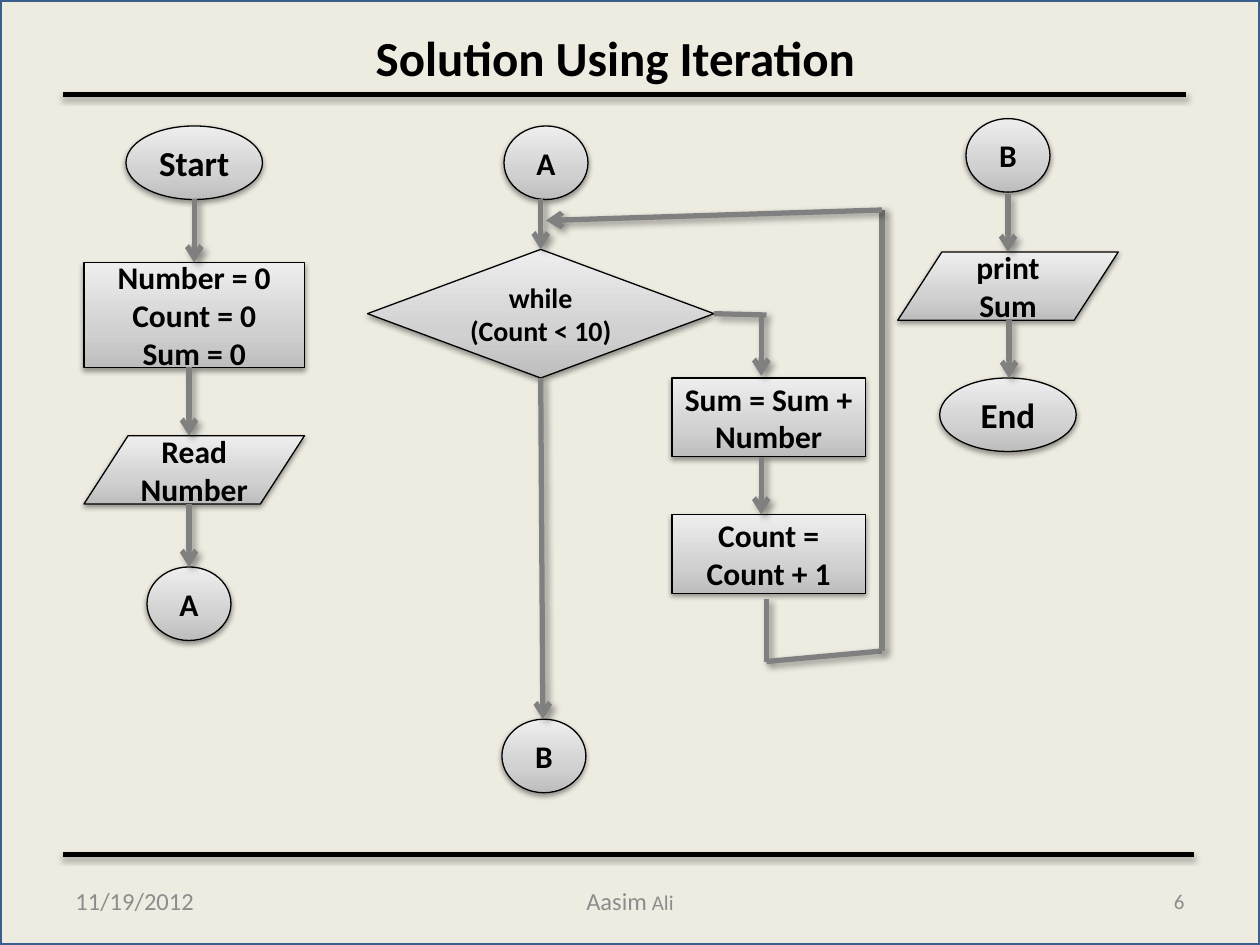
"""Build the flowchart slide "Solution Using Iteration" on a grid of 120 by 90 units."""
from lxml import etree
from pptx import Presentation
from pptx import util as u
from pptx.dml.color import RGBColor
from pptx.enum import shapes, text
from pptx.oxml.ns import qn

UNIT = u.Inches(10) / 120
FONT, INK, ARROW, PAPER, MUTED = "Calibri", "000000", "808080", "EEECE1", "8C8C8C"
STOPS = [(0, "BDBDBD"), (35, "D1D1D1"), (100, "EEEEEE")]
NODE_SHADOW = (38, 3.1, 1.6, 90)
RULE_SHADOW = (35, 3.1, 1.8, 90)
ARROW_SHADOW = (40, 4, 3, 45)
S, A, V = shapes.MSO_SHAPE, text.PP_ALIGN, text.MSO_ANCHOR

KINDS = {
    "terminal": (S.OVAL, 13, 7, 20),
    "setup": (S.RECTANGLE, 21, 10, 18),
    "step": (S.RECTANGLE, 18.4, 7.5, 18),
    "io": (S.FLOWCHART_DATA, 21, 6.5, 18),
    "joint": (S.FLOWCHART_CONNECTOR, 8, 7, 18),
    "decision": (S.FLOWCHART_DECISION, 33, 12.25, 16),
}
NODES = {
    "start": ("terminal", 12, 12, ["Start"]),
    "setup": ("setup", 8, 25, ["Number = 0", "Count = 0", "Sum = 0"]),
    "read": ("io", 8, 41.5, ["Read Number"]),
    "to_a": ("joint", 14, 54, ["A"]),
    "from_a": ("joint", 48, 12, ["A"]),
    "while": ("decision", 35, 23.75, ["while", "(Count < 10)"]),
    "to_b": ("joint", 47.8, 68.5, ["B"]),
    "sum": ("step", 64, 36, ["Sum = Sum + Number"]),
    "count": ("step", 64, 49, ["Count = Count + 1"]),
    "from_b": ("joint", 92, 11.3, ["B"]),
    "print": ("io", 85.5, 24, ["print Sum"]),
    "end": ("terminal", 89.5, 36, ["End"]),
}
ROUTES = [
    ([(18.5, 19), (18.5, 25)], None, ("setup", 0)),
    ([(18, 35), (18, 41.5)], None, None),
    ([(18, 48), (18, 54)], None, None),
    ([(51.5, 19), (51.5, 23.75)], None, ("while", 0)),
    ([(51.5, 36), (51.7, 68.5)], ("while", 2), None),
    ([(68, 29.9), (73, 30)], ("while", 3), False),
    ([(72.5, 30.2), (72.5, 35.8)], None, None),
    ([(72.5, 43.5), (72.5, 49)], None, None),
    ([(73, 57), (73, 63), (84, 62), (84, 20), (52, 21)], None, None),
    ([(96, 18.5), (96, 24)], None, None),
    ([(96.1, 30.5), (96.1, 36)], None, None),
]
RULES = [(6, 9, 113), (6, 81.4, 113.7)]
TITLE = (6, 2, 105.2, 6.8, [("Solution Using Iteration", 28)], A.CENTER)
FOOTERS = [
    (6, 83.4, 28, 4.8, [("11/19/2012", 14)], A.LEFT),
    (41, 83.4, 38, 4.8, [("Aasim", 14), (" Ali", 12)], A.CENTER),
    (86, 83.4, 28, 4.8, [("6", 12)], A.RIGHT),
]


def grid(*units):
    return [round(n * UNIT) for n in units]


def rgb(value):
    return RGBColor.from_string(value)


def style_font(font, size, color, bold):
    font.name, font.size, font.bold = FONT, u.Pt(size), bold
    font.color.rgb = rgb(color)


def add_colour(parent, value):
    return etree.SubElement(parent, qn("a:srgbClr"), val=value)


def add_shadow(effects, alpha, blur, distance, angle):
    outer = etree.SubElement(
        effects, qn("a:outerShdw"), blurRad=str(u.Pt(blur)), dist=str(u.Pt(distance)),
        dir=str(angle * 60000), rotWithShape="0")
    etree.SubElement(add_colour(outer, INK), qn("a:alpha"), val=str(alpha * 1000))


def add_label(slide, left, top, width, height, runs, align, color, bold, anchor):
    frame = slide.shapes.add_textbox(*grid(left, top, width, height)).text_frame
    frame.word_wrap, frame.vertical_anchor = True, anchor
    paragraph = frame.paragraphs[0]
    paragraph.alignment = align
    for words, size in runs:
        run = paragraph.add_run()
        run.text = words
        style_font(run.font, size, color, bold)


def add_node(slide, kind, left, top, lines):
    preset, width, height, size = KINDS[kind]
    node = slide.shapes.add_shape(preset, *grid(left, top, width, height))
    node.fill.gradient()
    node.fill.gradient_angle = 90
    stops = node._element.spPr.find(".//" + qn("a:gsLst"))
    stops.clear()
    for position, color in STOPS:
        add_colour(etree.SubElement(stops, qn("a:gs"), pos=str(position * 1000)), color)
    node.line.color.rgb, node.line.width = rgb(INK), u.Pt(0.75)
    node.shadow.inherit = False
    add_shadow(node._element.spPr.find(qn("a:effectLst")), *NODE_SHADOW)
    frame = node.text_frame
    frame.word_wrap, frame.vertical_anchor = True, V.MIDDLE
    frame.text = "\n".join(lines)
    for paragraph in frame.paragraphs:
        paragraph.alignment = A.CENTER
        style_font(paragraph.font, size, INK, True)
    return node


def add_line(slide, begin, end, color, shadow, head=False):
    line = slide.shapes.add_connector(shapes.MSO_CONNECTOR.STRAIGHT, *grid(*begin, *end))
    line.line.color.rgb, line.line.width = rgb(color), u.Pt(3)
    properties = line._element.spPr
    if head:
        etree.SubElement(properties.find(qn("a:ln")), qn("a:tailEnd"), type="arrow")
    add_shadow(etree.SubElement(properties, qn("a:effectLst")), *shadow)
    return line


def main():
    deck = Presentation()
    deck.slide_width, deck.slide_height = grid(120, 90)
    slide = deck.slides.add_slide(deck.slide_layouts[6])

    page = slide.shapes.add_shape(S.RECTANGLE, *grid(0, 0, 120, 90))
    page.fill.solid()
    page.fill.fore_color.rgb = rgb(PAPER)
    page.line.color.rgb, page.line.width = rgb("3A5F8C"), u.Pt(2)
    page.shadow.inherit = False

    add_label(slide, *TITLE, INK, True, V.TOP)
    for footer in FOOTERS:
        add_label(slide, *footer, MUTED, False, V.MIDDLE)
    for left, top, right in RULES:
        add_line(slide, (left, top), (right, top), INK, RULE_SHADOW)

    nodes = {key: add_node(slide, *node) for key, node in NODES.items()}
    for points, source, target in ROUTES:
        legs = list(zip(points, points[1:]))
        for number, (begin, end) in enumerate(legs, 1):
            last = number == len(legs)
            leg = add_line(slide, begin, end, ARROW, ARROW_SHADOW, last and target is not False)
            if source and number == 1:
                leg.begin_connect(nodes[source[0]], source[1])
            if target and last:
                leg.end_connect(nodes[target[0]], target[1])
    deck.save("out.pptx")


if __name__ == "__main__":
    main()
